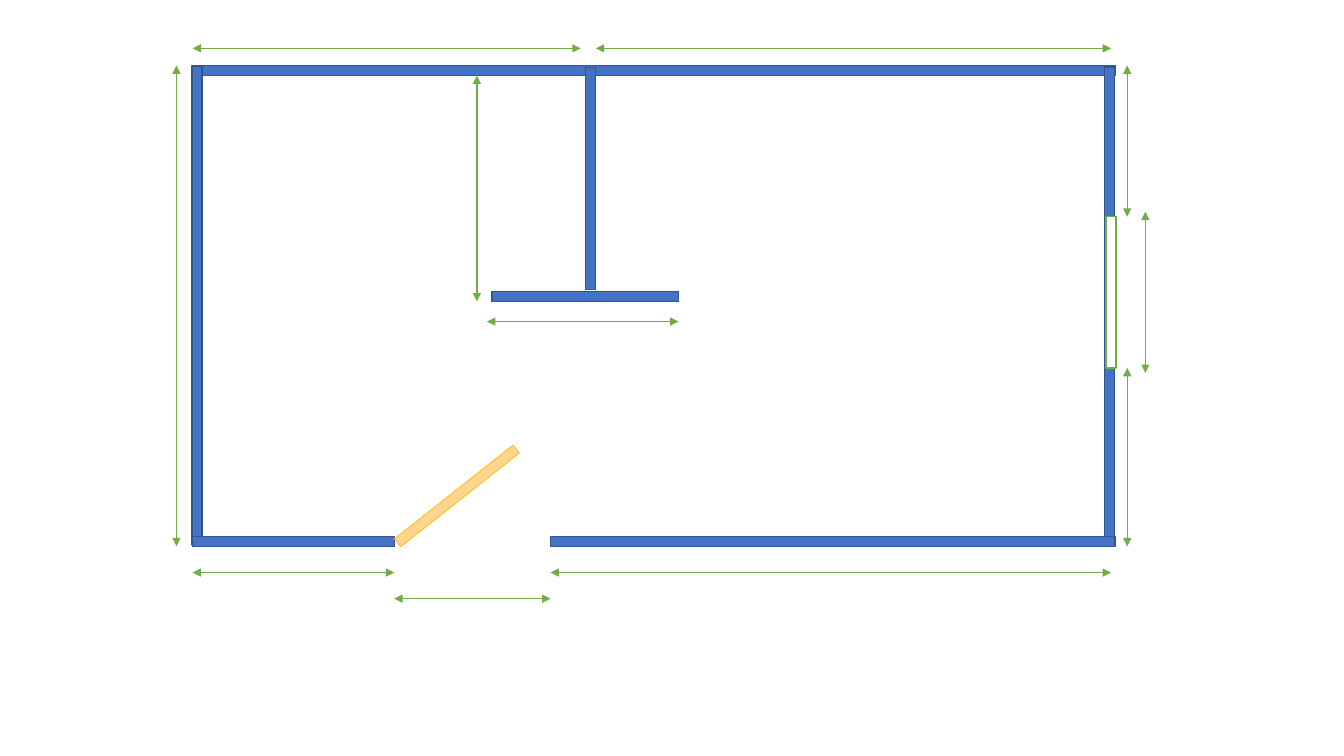
from copy import deepcopy

from pptx import Presentation
from pptx.dml.color import RGBColor
from pptx.enum.shapes import MSO_CONNECTOR, MSO_SHAPE
from pptx.oxml.ns import qn
from pptx.oxml.xmlchemy import OxmlElement
from pptx.util import Inches, Pt

RECTANGLE = MSO_SHAPE.RECTANGLE
STRAIGHT = MSO_CONNECTOR.STRAIGHT
CELL = Inches(0.1)
THICKNESS = 1
BLANK_LAYOUT = 6

WALL_FILL, WALL_LINE = "4472C4", "325491"
DIMENSION_GREEN = "70AD47"
WINDOW_FILL = "FFFFFF"
DOOR_LINE = "FFC000"
DOOR_STOPS = [(0, "FFDB9E"), (0.5, "FFD590"), (1, "FFD07C")]

WEST, EAST = 19.1, 110.2
NORTH, SOUTH = 6.5, 54.2
DOOR_WEST, DOOR_EAST = 39.1, 54.6

# centre column, centre row, length, rotation
WALLS = [
    (64.85, 7, 91.5, 0),
    (19.55, 30.3, 47.5, 270),
    (29.1, 53.7, 20, 180),
    (110.05, 30.4, 47.5, 270),
    (82.6, 53.7, 56, 180),
]
PARTITIONS = [
    (58.6, 17.7, 22, 270),
    (58.05, 29.4, 18.5, 180),
]
DOOR = (45.3, 49.2, 15, 141.7)
WINDOW = (110.2, 29, 15, 270)

HORIZONTAL_DIMENSIONS = [
    (4.8, WEST, 57.6),
    (4.8, 59.1, EAST),
    (56.8, DOOR_EAST, EAST),
    (59.4, DOOR_WEST, DOOR_EAST),
    (56.8, WEST, DOOR_WEST),
    (31.9, 48.3, 67.3),
]
VERTICAL_DIMENSIONS = [
    (111.8, 21.5, NORTH),
    (113.6, 37, 21),
    (111.8, SOUTH, 36.5),
    (17.5, SOUTH, NORTH),
    (47.3, 29.9, 7.5),
]


def color(code):
    return RGBColor.from_string(code)


def cells(*counts):
    return [round(count * CELL) for count in counts]


def add_bar(page, place, line, width=1):
    column, row, length, angle = place
    bar = page.shapes.add_shape(
        RECTANGLE,
        *cells(column - length / 2, row - THICKNESS / 2, length, THICKNESS),
    )
    bar.rotation = angle
    bar.shadow.inherit = False
    bar.line.color.rgb = color(line)
    bar.line.width = Pt(width)
    return bar


def add_solid_bar(page, place, fill, line):
    bar = add_bar(page, place, line)
    bar.fill.solid()
    bar.fill.fore_color.rgb = color(fill)


def add_door(page):
    door = add_bar(page, DOOR, DOOR_LINE, 0.5)
    door.fill.gradient()
    door.fill.gradient_angle = 270
    stop_list = door._element.spPr.find(".//" + qn("a:gsLst"))
    stop_list.insert(1, deepcopy(stop_list[0]))
    for stop, (position, code) in zip(door.fill.gradient_stops, DOOR_STOPS):
        stop.position = position
        stop.color.rgb = color(code)


def add_dimension(page, start, end):
    arrow = page.shapes.add_connector(STRAIGHT, *cells(*start, *end))
    arrow.line.color.rgb = color(DIMENSION_GREEN)
    arrow.line.width = Pt(1)
    outline = arrow.line._get_or_add_ln()
    for tag in ("a:headEnd", "a:tailEnd"):
        arrowhead = OxmlElement(tag)
        arrowhead.set("type", "triangle")
        outline.append(arrowhead)
    arrow._element.spPr.append(OxmlElement("a:effectLst"))


def main():
    deck = Presentation()
    deck.slide_width, deck.slide_height = Inches(13.33), Inches(7.5)
    page = deck.slides.add_slide(deck.slide_layouts[BLANK_LAYOUT])

    for place in WALLS:
        add_solid_bar(page, place, WALL_FILL, WALL_LINE)
    add_door(page)
    for place in PARTITIONS:
        add_solid_bar(page, place, WALL_FILL, WALL_LINE)
    add_solid_bar(page, WINDOW, WINDOW_FILL, DIMENSION_GREEN)

    for row, start, end in HORIZONTAL_DIMENSIONS:
        add_dimension(page, (start, row), (end, row))
    for column, start, end in VERTICAL_DIMENSIONS:
        add_dimension(page, (column, start), (column, end))

    deck.save("out.pptx")


if __name__ == "__main__":
    main()
